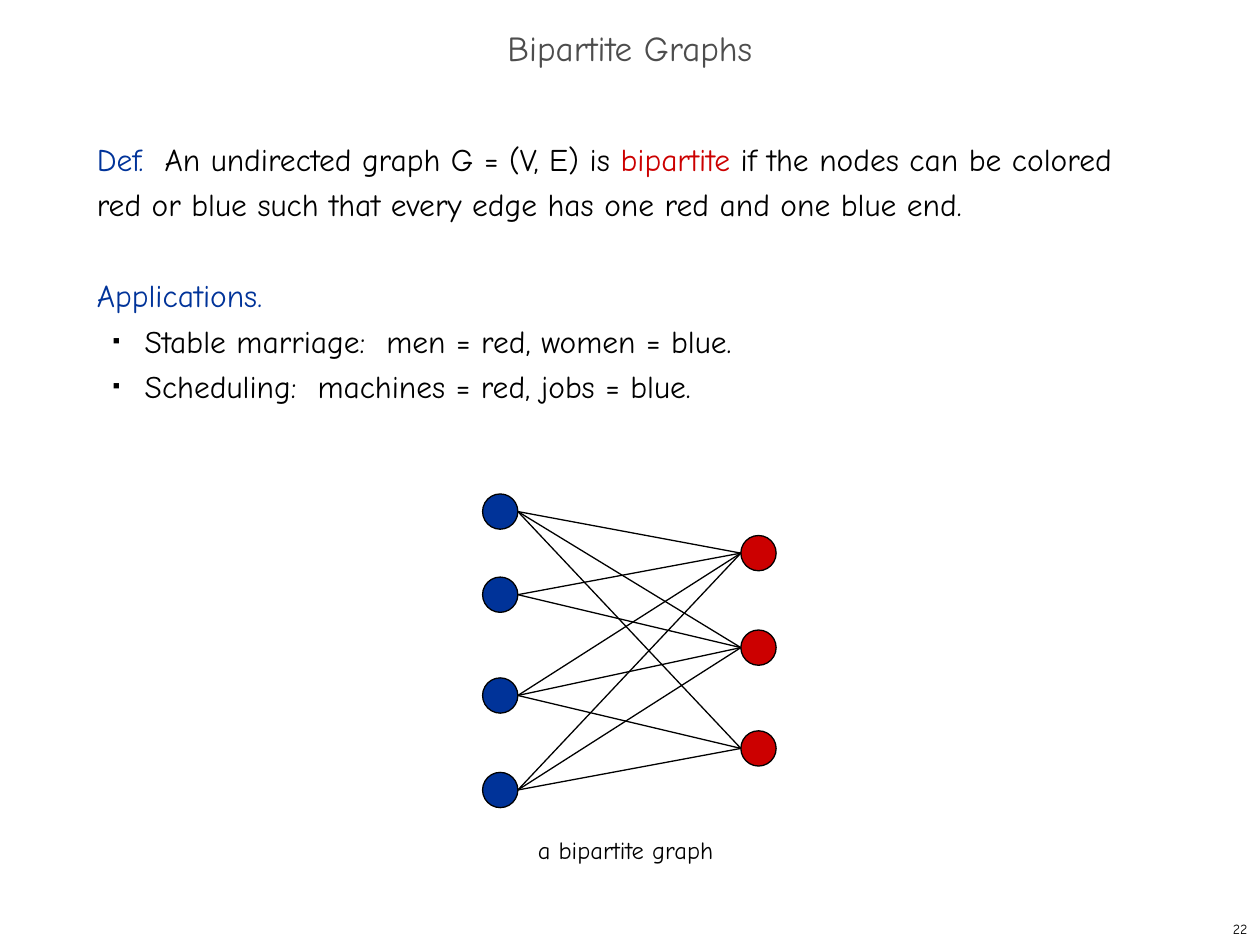
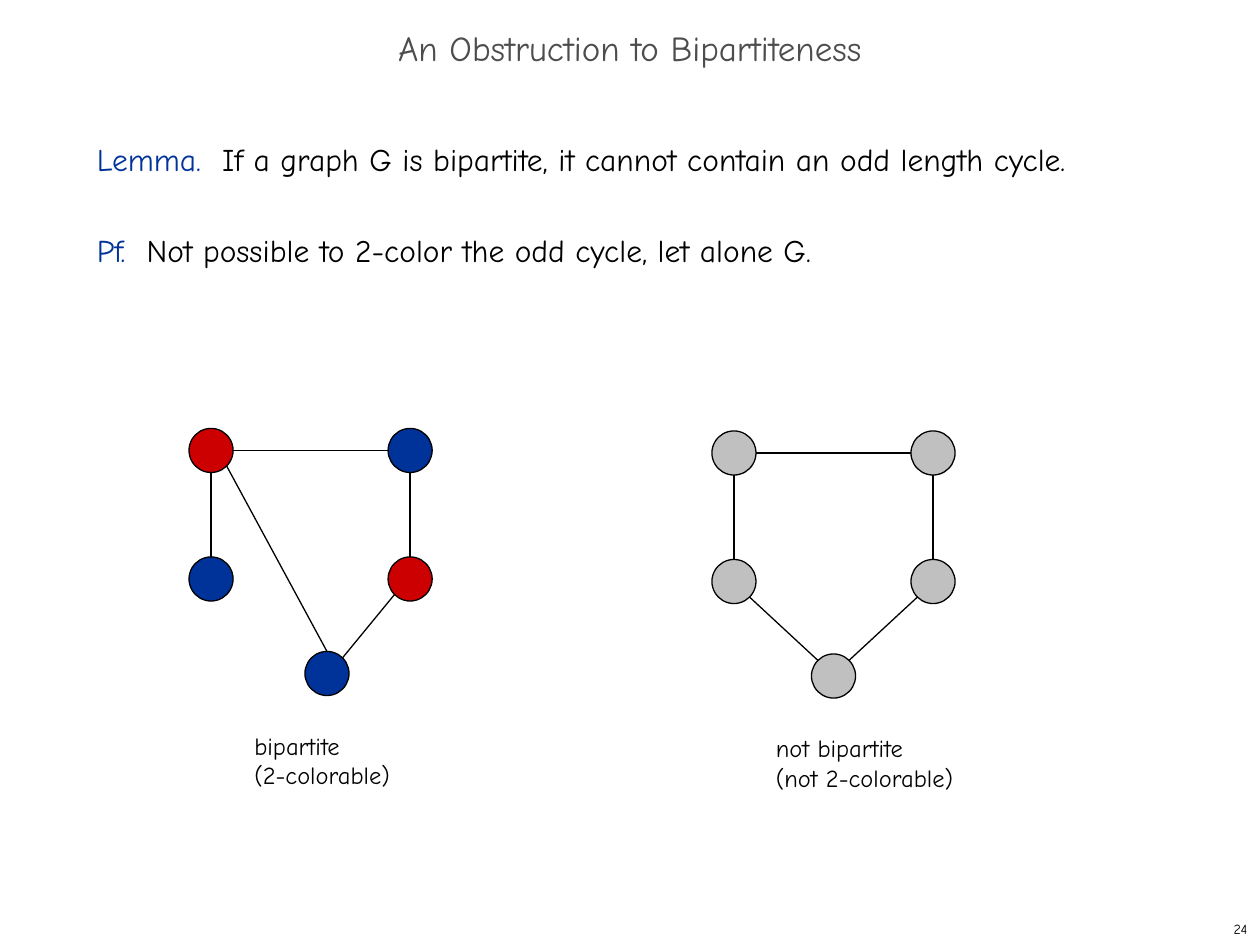
from dataclasses import dataclass
from itertools import product
from lxml import etree
from pptx import Presentation, util as u
from pptx.dml.color import RGBColor
from pptx.enum import shapes, text
from pptx.oxml.ns import qn


@dataclass(frozen=True)
class Theme:
    face: str = "Comic Neue"
    black: str = "000000"
    blue: str = "003399"
    red: str = "CC0000"
    gray: str = "C0C0C0"
    title: str = "4D4D4D"
    head: int = 20
    body: int = 18
    label: int = 14
    page: int = 8
    lead: int = 26
    line: float = 0.75


def put(item, values):
    for name, value in values.items():
        setattr(item, name, value)


def rgb(code):
    return RGBColor.from_string(code)


SITES = {"n": (0, -1), "s": (0, 1), "e": (1, 0), "w": (-1, 0),
         "nw": (-0.71, -0.71), "ne": (0.71, -0.71),
         "sw": (-0.71, 0.71), "se": (0.71, 0.71)}


class Deck:
    def __init__(self, theme):
        self.theme = theme
        self.file = Presentation()
        put(self.file, {"slide_width": u.Inches(10), "slide_height": u.Inches(7.5)})
        self.slide = None

    def start(self, title, page):
        t = self.theme
        self.slide = self.file.slides.add_slide(self.file.slide_layouts[5])
        head = self.slide.shapes.title
        put(head, {"left": u.Inches(0), "top": u.Inches(0.17),
                   "width": u.Inches(10), "height": u.Inches(0.5)})
        self.frame(head, vertical_anchor=text.MSO_ANCHOR.MIDDLE)
        para = head.text_frame.paragraphs[0]
        put(para, {"alignment": text.PP_ALIGN.CENTER, "line_spacing": 0.7})
        self.run(para, title, t.head, t.title)
        foot = self.box(7.92, 7.25, 2.08, 0.25, word_wrap=False,
                        vertical_anchor=text.MSO_ANCHOR.MIDDLE)
        para = foot.paragraphs[0]
        para.alignment = text.PP_ALIGN.RIGHT
        self.run(para, str(page), t.page, t.black)

    def frame(self, shape, **extra):
        values = {"word_wrap": True, "auto_size": text.MSO_AUTO_SIZE.NONE,
                  "margin_left": u.Inches(0.1), "margin_right": u.Inches(0.1),
                  "margin_top": u.Inches(0.05), "margin_bottom": u.Inches(0.05)}
        put(shape.text_frame, {**values, **extra})
        return shape.text_frame

    def box(self, x, y, wide, high, **extra):
        shape = self.slide.shapes.add_textbox(*map(u.Inches, (x, y, wide, high)))
        return self.frame(shape, **extra)

    def run(self, para, words, size, color):
        run = para.add_run()
        run.text = words
        put(run.font, {"name": self.theme.face, "size": u.Pt(size), "bold": False})
        run.font.color.rgb = rgb(color)

    def body(self, blocks):
        t = self.theme
        frame = self.box(0.67, 1, 8.58, 5.92)
        for i, (lead, words, points) in enumerate(blocks):
            para = frame.add_paragraph() if i else frame.paragraphs[0]
            put(para, {"line_spacing": u.Pt(t.lead),
                       "space_before": u.Pt(t.lead if i else 0)})
            self.run(para, lead, t.body, t.blue)
            for part, color in words:
                self.run(para, part, t.body, color)
            for point in points:
                para = frame.add_paragraph()
                put(para, {"level": 1, "line_spacing": u.Pt(t.lead),
                           "space_before": u.Pt(0)})
                self.bullet(para)
                self.run(para, point, t.body, t.black)

    def bullet(self, para):
        props = para._p.get_or_add_pPr()
        props.set("marL", str(u.Inches(0.38)))
        props.set("indent", str(u.Inches(-0.25)))
        tint = etree.SubElement(props, qn("a:buClr"))
        etree.SubElement(tint, qn("a:srgbClr"), val=self.theme.black)
        etree.SubElement(props, qn("a:buSzPct"), val="35000")
        etree.SubElement(props, qn("a:buFont"), typeface="Arial")
        etree.SubElement(props, qn("a:buChar"), char="\u25a0")

    def node(self, x, y, size, color):
        dot = self.slide.shapes.add_shape(
            shapes.MSO_SHAPE.OVAL, *map(u.Inches, (x, y, size, size)))
        dot.shadow.inherit = False
        dot.fill.solid()
        dot.fill.fore_color.rgb = rgb(color)
        dot.line.color.rgb = rgb(self.theme.black)
        dot.line.width = u.Pt(self.theme.line)
        return dot

    def site(self, dot, side):
        dx, dy = SITES[side]
        half = dot.width / 2
        return int(dot.left + half * (1 + dx)), int(dot.top + half * (1 + dy))

    def edge(self, a, from_side, b, to_side):
        line = self.slide.shapes.add_connector(
            shapes.MSO_CONNECTOR.STRAIGHT,
            *self.site(a, from_side), *self.site(b, to_side))
        line.line.color.rgb = rgb(self.theme.black)
        line.line.width = u.Pt(self.theme.line)
        etree.SubElement(line._element.spPr, qn("a:effectLst"))

    def label(self, x, y, wide, high, *rows):
        frame = self.box(x, y, wide, high, word_wrap=False,
                         auto_size=text.MSO_AUTO_SIZE.SHAPE_TO_FIT_TEXT)
        para = frame.paragraphs[0]
        for i, row in enumerate(rows):
            if i:
                para.add_line_break()
            self.run(para, row, self.theme.label, self.theme.black)

    def graph(self, x, y, spots, colors, edges):
        dots = [self.node(x + dx, y + dy, 0.35, color)
                for (dx, dy), color in zip(spots, colors)]
        for a, from_side, b, to_side in edges:
            self.edge(dots[a], from_side, dots[b], to_side)


t = Theme()
deck = Deck(t)

deck.start("Bipartite Graphs", 22)
deck.body([
    ("Def.  ", [
        ("An undirected graph G = (V, E) is ", t.black),
        ("bipartite", t.red),
        (" if the nodes can be colored red or blue such that every edge "
         "has one red and one blue end.", t.black)], []),
    ("Applications.", [], [
        "Stable marriage:  men = red, women = blue.",
        "Scheduling:  machines = red, jobs = blue."]),
])
blues = [deck.node(3.83, y, 0.28, t.blue) for y in (3.92, 4.58, 5.38, 6.13)]
reds = [deck.node(5.88, y, 0.28, t.red) for y in (4.25, 5, 5.8)]
for a, b in product(range(4), range(3)):
    if (a, b) != (1, 2):
        deck.edge(blues[a], "e", reds[b], "w")
deck.label(4.17, 6.58, 1.74, 0.33, "a bipartite graph")

deck.start("An Obstruction to Bipartiteness", 24)
deck.body([
    ("Lemma.  ", [("If a graph G is bipartite, it cannot contain an odd "
                   "length cycle.", t.black)], []),
    ("Pf.  ", [("Not possible to 2-color the odd cycle, let alone G.",
                t.black)], []),
])
square = [(0, 0), (1.58, 0), (0, 1.02), (1.58, 1.02)]
sides = [(0, "e", 1, "w"), (2, "n", 0, "s"), (3, "n", 1, "s"),
         (4, "ne", 3, "sw")]
deck.graph(1.5, 3.4, square + [(0.92, 1.77)],
           [t.red, t.blue, t.blue, t.red, t.blue],
           sides + [(4, "n", 0, "se")])
deck.graph(5.65, 3.42, square + [(0.79, 1.77)], [t.gray] * 5,
           sides + [(2, "se", 4, "nw")])
deck.label(1.92, 5.75, 1.37, 0.57, "bipartite", "(2-colorable)")
deck.label(6.06, 5.77, 1.72, 0.57, "not bipartite", "(not 2-colorable)")

deck.file.save("out.pptx")
